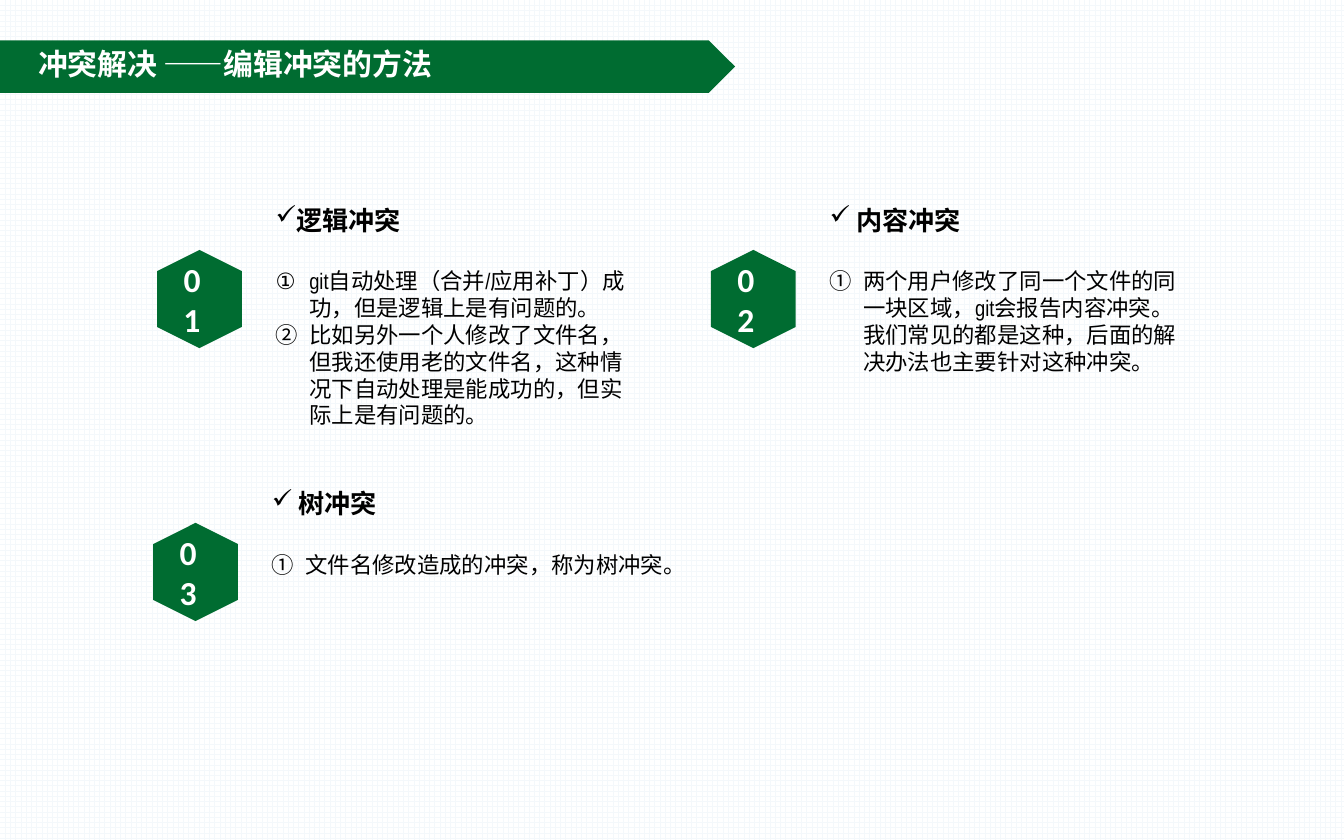
"""Build a slide on the kinds of merge conflict and how they arise."""
from dataclasses import dataclass

from lxml import etree
from pptx import Presentation
from pptx.dml import color
from pptx.enum import dml, shapes, text
from pptx.oxml import ns
from pptx.util import Pt


@dataclass(frozen=True)
class Theme:
    """Colours, fonts and type sizes of the slide."""
    green: color.RGBColor = color.RGBColor(0x00, 0x6C, 0x31)
    white: color.RGBColor = color.RGBColor(0xFF, 0xFF, 0xFF)
    black: color.RGBColor = color.RGBColor(0x00, 0x00, 0x00)
    grid: color.RGBColor = color.RGBColor(0xF4, 0xF8, 0xFB)
    body: str = "Arial Narrow"
    label: str = "Calibri"
    han: str = "Noto Sans CJK SC"
    title: int = 16
    number: int = 18
    head: int = 14
    item: int = 12


THEME = Theme()
CARDS = [
    ("01", 80.6, 137.5, 105.8, 209.5, 130.3, "逻辑冲突",
     ["git自动处理（合并/应用补丁）成功，但是逻辑上是有问题的。",
      "比如另外一个人修改了文件名，但我还使用老的文件名，这种情况下自动处理是能成功的，但实际上是有问题的。"]),
    ("03", 78.5, 283.7, 257.8, 380.2, 114.5, " 树冲突",
     ["文件名修改造成的冲突，称为树冲突。"]),
    ("02", 377.3, 137.5, 105.8, 209.5, 108.7, " 内容冲突",
     ["两个用户修改了同一个文件的同一块区域，git会报告内容冲突。我们常见的都是这种，后面的解决办法也主要针对这种冲突。"]),
]


def style(font, size, tint, bold, name=None):
    """Set the size, colour, weight and face of a font."""
    font.size, font.bold, font.name = Pt(size), bold, name
    font.color.rgb = tint


def bullet(para, tag, indent=0, **attrs):
    """Give a paragraph a bullet and a hanging indent."""
    props = para._p.get_or_add_pPr()
    props.set("marL", str(Pt(indent)))
    props.set("indent", str(-Pt(indent)))
    etree.SubElement(props, ns.qn(tag), attrs)


def add_solid(slide, kind, left, top, width, height):
    """Add a plain green shape."""
    shape = slide.shapes.add_shape(kind, Pt(left), Pt(top), Pt(width), Pt(height))
    shape.shadow.inherit = False
    shape.fill.solid()
    shape.fill.fore_color.rgb = THEME.green
    shape.line.fill.background()
    return shape


def add_title(slide):
    """Draw the banner and place the title on top of it."""
    add_solid(slide, shapes.MSO_SHAPE.PENTAGON, 0, 21.6, 393.8, 28.1)
    title = slide.shapes.title
    slide.shapes.element.append(title.element)
    title.left, title.top, title.width, title.height = Pt(0), Pt(20.9), Pt(252), Pt(46)
    frame = title.text_frame
    frame.auto_size = text.MSO_AUTO_SIZE.NONE
    frame.vertical_anchor = text.MSO_ANCHOR.TOP
    para = frame.paragraphs[0]
    para.alignment = text.PP_ALIGN.CENTER
    for words, face in (("冲突解决 ——", THEME.han), ("编辑冲突的方法", THEME.label)):
        run = para.add_run()
        run.text = words
        run.font.name = face
    style(para.font, THEME.title, THEME.white, True)


def add_badge(slide, number, left, top):
    """Add a numbered hexagon standing on its point."""
    badge = add_solid(slide, shapes.MSO_SHAPE.HEXAGON, left, top, 52.6, 45.4)
    badge.rotation = 270
    frame = badge.text_frame
    frame.vertical_anchor = text.MSO_ANCHOR.MIDDLE
    frame._txBody.bodyPr.set("vert", "eaVert")
    para = frame.paragraphs[0]
    para.text = number
    para.alignment = text.PP_ALIGN.CENTER
    style(para.font, THEME.number, THEME.white, True, THEME.label)


def add_notes(slide, left, top, width, height, head, items):
    """Add a ticked heading over a numbered list."""
    box = slide.shapes.add_textbox(Pt(left), Pt(top), Pt(width), Pt(height))
    frame = box.text_frame
    frame.word_wrap = True
    para = frame.paragraphs[0]
    para.text = head
    para.space_after = Pt(17)
    bullet(para, "a:buChar", char="✓")
    style(para.font, THEME.head, THEME.black, True, THEME.body)
    for item in items:
        para = frame.add_paragraph()
        para.text = item
        bullet(para, "a:buAutoNum", 18, type="circleNumDbPlain")
        style(para.font, THEME.item, THEME.black, False, THEME.body)


def main():
    """Build and save the slide."""
    deck = Presentation()
    deck.slide_width, deck.slide_height = Pt(720), Pt(450)
    slide = deck.slides.add_slide(deck.slide_layouts[5])
    fill = slide.background.fill
    fill.patterned()
    fill.pattern = dml.MSO_PATTERN.LARGE_GRID
    fill.fore_color.rgb, fill.back_color.rgb = THEME.grid, THEME.white
    add_title(slide)
    for number, left, top, start, width, height, head, items in CARDS:
        add_badge(slide, number, left, top)
        add_notes(slide, left + 60, start, width, height, head, items)
    deck.save("out.pptx")


if __name__ == "__main__":
    main()
